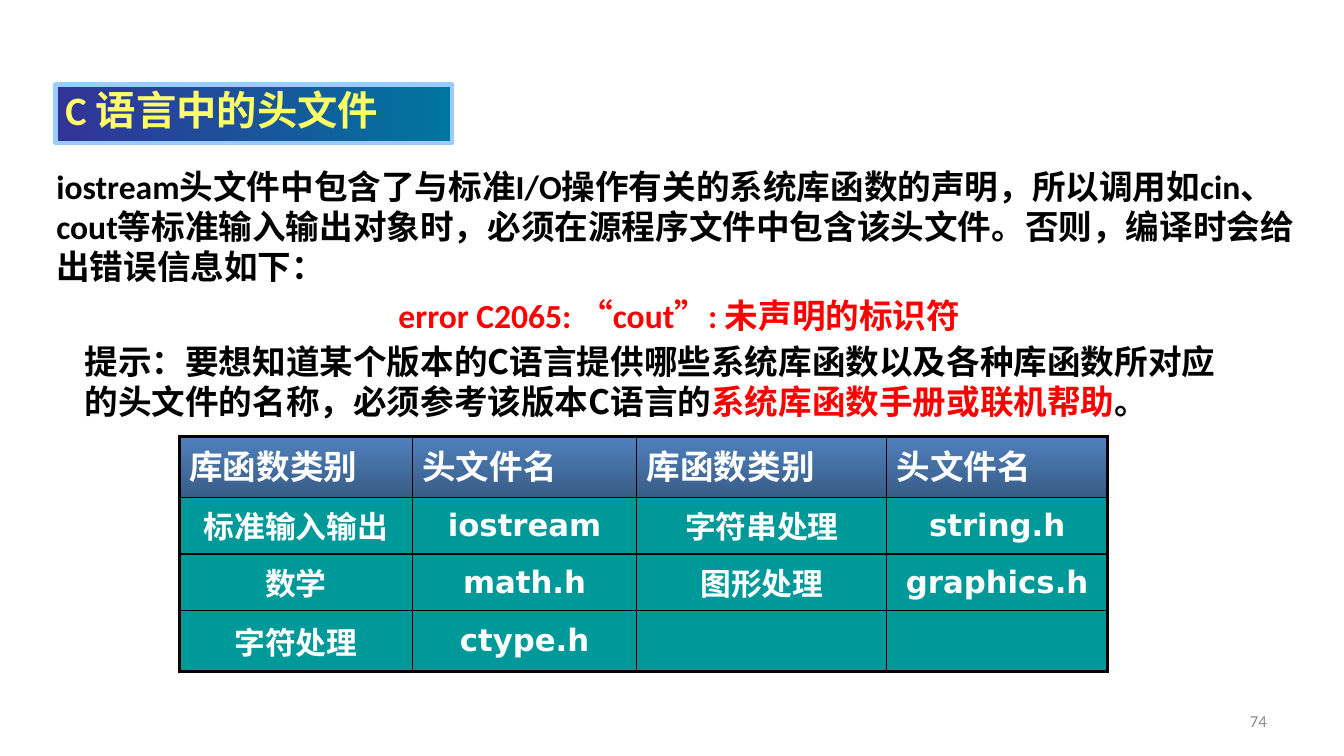
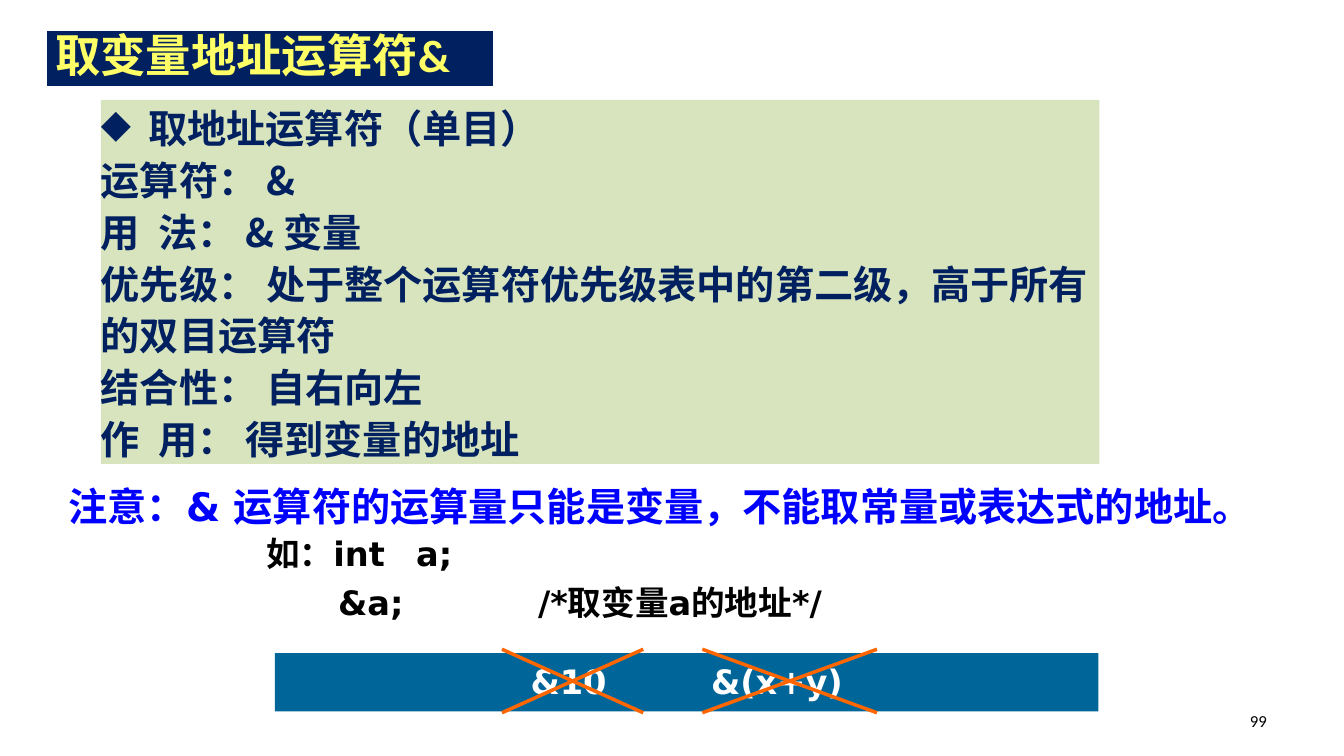
from lxml.etree import SubElement
from pptx import Presentation
from pptx.dml.color import RGBColor
from pptx.enum.shapes import MSO_CONNECTOR as Link, MSO_SHAPE as Shape
from pptx.enum.text import MSO_ANCHOR as Anchor, PP_ALIGN as Align
from pptx.oxml.ns import qn
from pptx.util import Cm, Pt

LATIN, HAN, SANS, SERIF = "Calibri", "Noto Sans CJK SC", "DejaVu Sans", "Times New Roman"
BLACK, WHITE, RED, NAVY, YELLOW = "000000", "FFFFFF", "FF0000", "002060", "FFFF66"
BLUE, ORANGE, GREEN, TEAL, OCEAN, GREY = "0000FF", "FF6600", "D7E4BD", "009999", "006699", "8C8C8C"
TITLE_FADE, HEAD_FADE = ("333399", "00759E"), ("4F81BD", "395C87")
NO_PAD = (0, 0, 0, 0)


def rgb(code):
    return RGBColor.from_string(code)


def paint(fill, code):
    fill.solid()
    fill.fore_color.rgb = rgb(code)


def fade(fill, codes, angle):
    fill.gradient()
    fill.gradient_angle = angle
    for stop, code in zip(fill.gradient_stops, codes):
        stop.color.rgb = rgb(code)


def edge(line, code, width):
    line.color.rgb = rgb(code)
    line.width = Pt(width)


def pad(item, sides):
    """Set left, top, right and bottom margins of a frame or cell, in cm."""
    (item.margin_left, item.margin_top,
     item.margin_right, item.margin_bottom) = [Cm(side) for side in sides]


def style(para, face, size, code, bold=True, align=Align.LEFT):
    para.alignment = align
    font = para.font
    font.name, font.size, font.bold = face, Pt(size), bold
    font.color.rgb = rgb(code)
    base = para._p.pPr.find(qn("a:defRPr"))
    SubElement(base, qn("a:ea"), typeface=HAN)


def set_tabs(para, stops):
    """Add (position in cm, alignment) tab stops."""
    tabs = SubElement(para._p.get_or_add_pPr(), qn("a:tabLst"))
    for pos, algn in stops:
        SubElement(tabs, qn("a:tab"), pos=str(Cm(pos)), algn=algn)


def set_bullet(para, char, indent):
    props = para._p.get_or_add_pPr()
    props.set("marL", str(Cm(indent)))
    props.set("indent", str(-Cm(indent)))
    SubElement(props, qn("a:buChar"), char=char)


def write(frame, lines):
    """Fill the frame with one paragraph per line and return them."""
    frame.word_wrap = True
    paras = [frame.paragraphs[0]] + [frame.add_paragraph() for _ in lines[1:]]
    for para, line in zip(paras, lines):
        para.text = line
    return paras


def add_text(slide, box, lines, sides=NO_PAD):
    frame = slide.shapes.add_textbox(*map(Cm, box)).text_frame
    pad(frame, sides)
    return write(frame, lines)


def add_panel(slide, box, code, lines, sides=NO_PAD):
    panel = slide.shapes.add_shape(Shape.RECTANGLE, *map(Cm, box))
    panel.shadow.inherit = False
    paint(panel.fill, code)
    panel.line.fill.background()
    frame = panel.text_frame
    frame.vertical_anchor = Anchor.TOP
    pad(frame, sides)
    return write(frame, lines)


def add_slide(deck, title, box, size, number, code):
    """Add a slide with its title bar and page number."""
    slide = deck.slides.add_slide(deck.slide_layouts[5])
    bar = slide.shapes.title
    bar.left, bar.top, bar.width, bar.height = map(Cm, box)
    frame = bar.text_frame
    frame.vertical_anchor = Anchor.MIDDLE
    pad(frame, (0.25, 0, 0.25, 0.2))
    style(write(frame, [title])[0], LATIN, size, YELLOW)
    page = add_text(slide, (24.28, 17.65, 7.9, 1.02), [number], (0.25, 0.25, 0.25, 0.13))
    style(page[0], LATIN, 12, code, False, Align.RIGHT)
    return slide, bar


def add_border(cell, side, width):
    props = cell._tc.get_or_add_tcPr()
    line = SubElement(props, qn("a:ln" + side), w=str(Pt(width)))
    fill = SubElement(line, qn("a:solidFill"))
    SubElement(fill, qn("a:srgbClr"), val=BLACK)


def add_grid(slide, box, rows, widths, heights):
    grid = slide.shapes.add_table(len(rows), len(widths), *map(Cm, box)).table
    for col, width in zip(grid.columns, widths):
        col.width = Cm(width)
    for row, height in zip(grid.rows, heights):
        row.height = Cm(height)
    for r, row in enumerate(rows):
        for c, text in enumerate(row):
            cell = grid.cell(r, c)
            outer = {"L": c == 0, "R": c == len(row) - 1, "T": r == 0, "B": r == len(rows) - 1}
            for side, thick in outer.items():
                add_border(cell, side, 2.25 if thick else 1)
            cell.vertical_anchor = Anchor.MIDDLE
            para = cell.text_frame.paragraphs[0]
            para.text = text
            if r == 0:
                fade(cell.fill, HEAD_FADE, 270)
                pad(cell, (0.25, 0.1, 0.25, 0.2))
                style(para, SERIF, 24, WHITE)
            else:
                paint(cell.fill, TEAL)
                pad(cell, (0.1, 0.13, 0.1, 0.13))
                style(para, SANS if c % 2 else SERIF, 22, WHITE, align=Align.CENTER)


def add_cross(slide, left, top, width, height):
    right, base = left + width, top + height
    for start, end in ((top, base), (base, top)):
        line = slide.shapes.add_connector(
            Link.STRAIGHT, Cm(left), Cm(start), Cm(right), Cm(end))
        edge(line.line, ORANGE, 2.5)
        SubElement(line._element.spPr, qn("a:effectLst"))


def add_headers(deck):
    slide, bar = add_slide(deck, "C 语言中的头文件", (1.4, 2.13, 10, 1.47), 28.8, "74", GREY)
    fade(bar.fill, TITLE_FADE, 0)
    edge(bar.line, "99CCFF", 3)

    intro, error = add_text(slide, (1.42, 4.17, 31.4, 4.37), [
        "iostream头文件中包含了与标准I/O操作有关的系统库函数的声明，所以调用如cin、cout等标准输入输出对象时，"
        "必须在源程序文件中包含该头文件。否则，编译时会给出错误信息如下：",
        "error C2065: “cout”: 未声明的标识符"])
    style(intro, LATIN, 24, BLACK)
    style(error, LATIN, 24, RED, align=Align.CENTER)
    error.space_before = Pt(6)

    hint = add_text(slide, (2.13, 8.59, 28.88, 2.06), [
        "提示：要想知道某个版本的C语言提供哪些系统库函数以及各种库函数所对应的头文件的名称，必须参考该版本C语言的"])[0]
    style(hint, HAN, 24, BLACK)
    manual = hint.add_run()
    manual.text = "系统库函数手册或联机帮助"
    manual.font.color.rgb = rgb(RED)
    hint.add_run().text = "。"

    add_grid(slide, (4.52, 11, 23.4, 5.92), [
        ["库函数类别", "头文件名"] * 2,
        ["标准输入输出", "iostream", "字符串处理", "string.h"],
        ["数学", "math.h", "图形处理", "graphics.h"],
        ["字符处理", "ctype.h", "", ""],
    ], (5.87, 5.66, 6.3, 5.56), (1.53, 1.43, 1.43, 1.53))


def add_address(deck):
    slide, bar = add_slide(deck, "取变量地址运算符&", (1.14, 0.74, 11.33, 1.47), 32.4, "99", BLACK)
    paint(bar.fill, NAVY)
    edge(bar.line, WHITE, 3)

    facts = add_panel(slide, (2.54, 2.52, 25.17, 9.17), GREEN, [
        "取地址运算符（单目）",
        "运算符： &",
        "用\t法： & 变量",
        "优先级： 处于整个运算符优先级表中的第二级，高于所有的双目运算符",
        "结合性： 自右向左",
        "作\t用： 得到变量的地址"])
    set_bullet(facts[0], "◆", 1.2)
    for fact in facts[1:]:
        set_tabs(fact, [(1.45, "l")])
    for fact in facts:
        style(fact, HAN, 28, NAVY)
        fact.line_spacing = 1.1

    note = add_text(slide, (1.73, 11.91, 30.8, 1.27),
                    ["注意：& 运算符的运算量只能是变量，不能取常量或表达式的地址。"])[0]
    style(note, SANS, 28, BLUE)
    note.line_spacing = 1.2

    code = add_text(slide, (6.71, 13.44, 20.8, 2.31),
                    ["如：int\ta;", "\t&a;\t/*取变量a的地址*/"])
    for para, stops in zip(code, ([3.78], [1.81, 6.85])):
        set_tabs(para, [(stop, "l") for stop in stops])
        style(para, SANS, 24, BLACK)
    code[1].space_before = Pt(6)

    wrong = add_panel(slide, (6.93, 16.46, 20.75, 1.47), OCEAN,
                      ["\t&10\t&(x+y)"], (0.2, 0.2, 0.2, 0.3))[0]
    set_tabs(wrong, [(7.2, "ctr"), (12.45, "ctr")])
    style(wrong, SANS, 24, WHITE)
    add_cross(slide, 12.65, 16.36, 3.56, 1.6)
    add_cross(slide, 17.7, 16.36, 4.4, 1.6)


def main():
    deck = Presentation()
    deck.slide_width, deck.slide_height = Cm(33.87), Cm(19.05)
    add_headers(deck)
    add_address(deck)
    deck.save("out.pptx")


if __name__ == "__main__":
    main()
